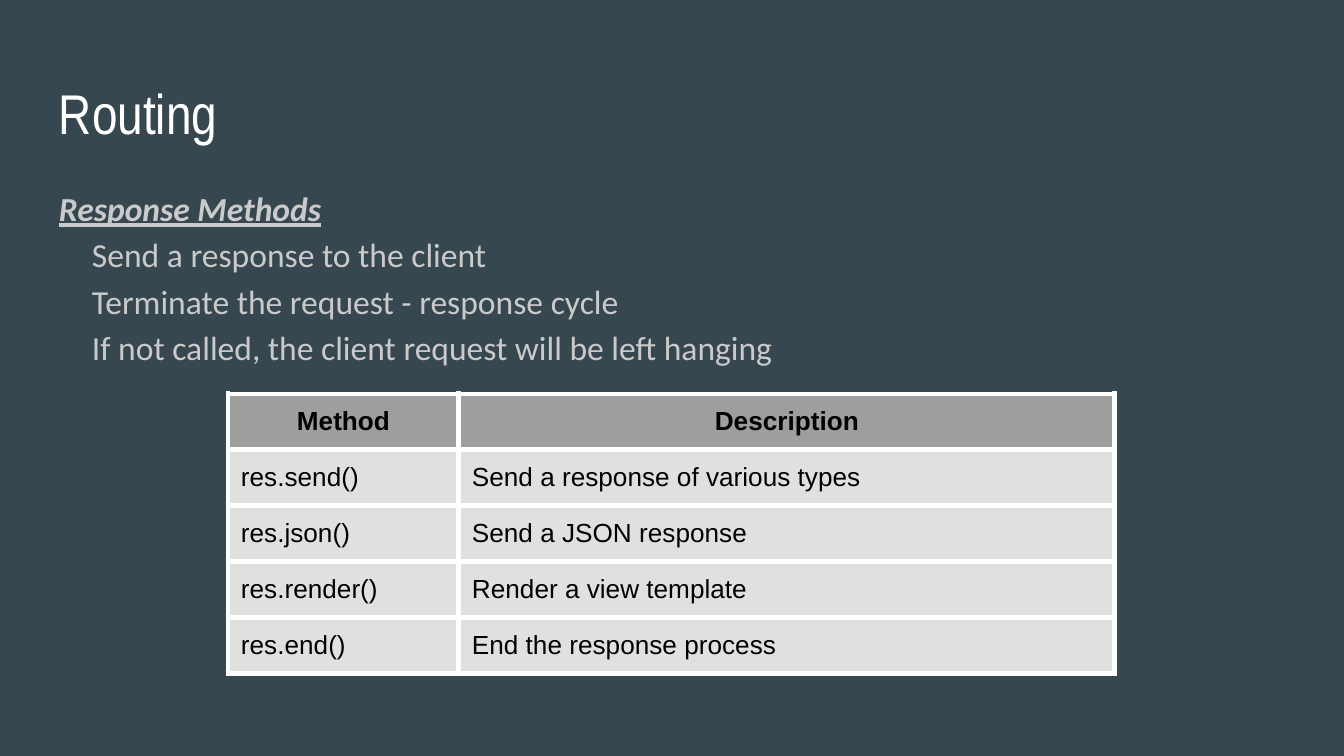
from lxml.etree import SubElement
from pptx import Presentation
from pptx.dml.color import RGBColor
from pptx.enum.text import MSO_ANCHOR, MSO_AUTO_SIZE, PP_ALIGN
from pptx.oxml.ns import qn
from pptx.util import Pt

# Content
TITLE = "Routing"
HEADING = "Response Methods"
POINTS = [
    "Send a response to the client",
    "Terminate the request - response cycle",
    "If not called, the client request will be left hanging",
]
METHODS = [
    ("Method", "Description"),
    ("res.send()", "Send a response of various types"),
    ("res.json()", "Send a JSON response"),
    ("res.render()", "Render a view template"),
    ("res.end()", "End the response process"),
]

# Colours
SLATE = RGBColor(0x37, 0x47, 0x4F)
WHITE = RGBColor(0xFF, 0xFF, 0xFF)
SILVER = RGBColor(0xCA, 0xCA, 0xCA)
BLACK = RGBColor(0, 0, 0)
HEADER_GREY = RGBColor(0x9E, 0x9E, 0x9E)
ROW_GREY = RGBColor(0xE0, 0xE0, 0xE0)

# Layout in pixels
WIDTH, HEIGHT = 1344, 756
TITLE_BOX = (46, 66, 1253, 85)
BODY_BOX = (46, 169, 1253, 538)
TABLE_LEFT, TABLE_TOP, ROW_HEIGHT = 228, 394, 56
COLUMNS = (231, 656)
INSET, POINT_MARGIN, POINT_INDENT = 13, 67, -34
BORDER = Pt(3)


def px(n):
    return round(n * 914400 / 134.4)


def set_font(paragraph, name, size, color, bold=False):
    font = paragraph.font
    font.name, font.size, font.bold = name, Pt(size), bold
    font.color.rgb = color


def set_margins(target):
    target.margin_left = target.margin_right = px(INSET)
    target.margin_top = target.margin_bottom = px(INSET)


def place(placeholder, box):
    placeholder.left, placeholder.top, placeholder.width, placeholder.height = map(px, box)
    frame = placeholder.text_frame
    frame.word_wrap = True
    frame.auto_size = MSO_AUTO_SIZE.NONE
    frame.vertical_anchor = MSO_ANCHOR.TOP
    set_margins(frame)
    return frame


def set_borders(cell):
    properties = cell._tc.get_or_add_tcPr()
    for side in ("a:lnL", "a:lnR", "a:lnT", "a:lnB"):
        line = SubElement(properties, qn(side), w=str(BORDER))
        fill = SubElement(line, qn("a:solidFill"))
        SubElement(fill, qn("a:srgbClr"), val=str(WHITE))


# Slide
prs = Presentation()
prs.slide_width, prs.slide_height = px(WIDTH), px(HEIGHT)
slide = prs.slides.add_slide(prs.slide_layouts[1])
slide.background.fill.solid()
slide.background.fill.fore_color.rgb = SLATE

# Title
title = place(slide.shapes.title, TITLE_BOX)
title.text = TITLE
title.paragraphs[0].alignment = PP_ALIGN.LEFT
set_font(title.paragraphs[0], "Arial Narrow", 30, WHITE)

# Heading and indented points
body = place(slide.placeholders[1], BODY_BOX)
body.text = "\n".join([HEADING, *POINTS])
for i, paragraph in enumerate(body.paragraphs):
    is_heading = i == 0
    set_font(paragraph, "Calibri", 18, SILVER, bold=is_heading)
    paragraph.font.italic = paragraph.font.underline = is_heading
    paragraph.line_spacing = 1.15
    paragraph.space_before = Pt(0)
    properties = paragraph._p.get_or_add_pPr()
    properties.set("marL", str(0 if is_heading else px(POINT_MARGIN)))
    properties.set("indent", str(0 if is_heading else px(POINT_INDENT)))
    properties.insert_element_before(
        properties.makeelement(qn("a:buNone")), "a:tabLst", "a:defRPr", "a:extLst")

# Methods table
methods = slide.shapes.add_table(
    len(METHODS), len(COLUMNS), px(TABLE_LEFT), px(TABLE_TOP),
    px(sum(COLUMNS)), px(ROW_HEIGHT * len(METHODS))).table
methods.horz_banding = False
for column, width in zip(methods.columns, COLUMNS):
    column.width = px(width)
for r, row in enumerate(METHODS):
    is_header = r == 0
    for c, text in enumerate(row):
        cell = methods.cell(r, c)
        cell.text = text
        set_margins(cell)
        set_borders(cell)
        cell.fill.solid()
        cell.fill.fore_color.rgb = HEADER_GREY if is_header else ROW_GREY
        paragraph = cell.text_frame.paragraphs[0]
        paragraph.alignment = PP_ALIGN.CENTER if is_header else PP_ALIGN.LEFT
        set_font(paragraph, "Arial", 14, BLACK, bold=is_header)

prs.save("out.pptx")
